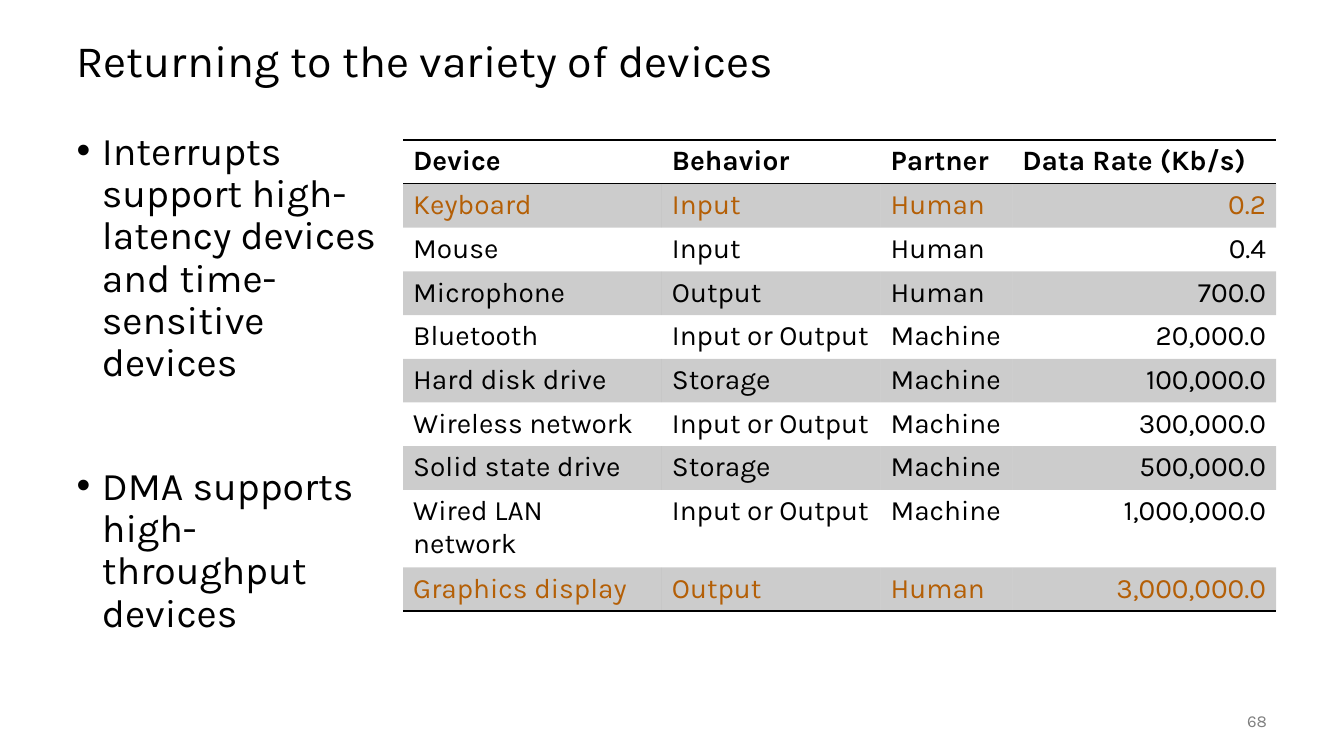
"""Build the slide that compares the behaviour and data rate of devices."""
from dataclasses import dataclass

from lxml import etree
from pptx import Presentation
from pptx.dml.color import RGBColor
from pptx.enum import text
from pptx.oxml import ns
from pptx.util import Cm, Pt


@dataclass(frozen=True)
class Theme:
    """Hold the colours, font and type sizes."""
    font: str = "Karla"
    ink: str = "000000"
    mark: str = "B45F06"
    grey: str = "808080"
    title: int = 32
    body: int = 28
    cell: int = 20
    note: int = 12


@dataclass(frozen=True)
class Box:
    """Describe a text box, with lengths in centimetres."""
    left: float
    top: float
    width: float
    height: float
    lines: tuple[str, ...]
    size: int
    tint: str
    space: float | None = 0.9
    gap: int = 0
    dots: bool = False
    side: text.PP_ALIGN = text.PP_ALIGN.LEFT
    hold: text.MSO_ANCHOR = text.MSO_ANCHOR.MIDDLE


@dataclass(frozen=True)
class Device:
    """Describe one row of the table."""
    name: str
    use: str
    mate: str
    rate: str
    key: bool = False


THEME = Theme()
BOXES = (
    Box(1.68, 0.64, 30.48, 1.9, ("Returning to the variety of devices",),
        THEME.title, THEME.ink),
    Box(1.68, 3.18, 8.48, 13.97,
        ("Interrupts support high-latency devices and time-sensitive devices",
         "DMA supports high-throughput devices"),
        THEME.body, THEME.ink, gap=58, dots=True, hold=text.MSO_ANCHOR.TOP),
    Box(29.64, 17.65, 2.54, 1.02, ("68",), THEME.note, THEME.grey,
        space=None, side=text.PP_ALIGN.RIGHT),
)
HEAD = ("Device", "Behavior", "Partner", "Data Rate (Kb/s)")
WIDTHS = (6.52, 5.51, 3.32, 6.65)
ROW = 1.04
DEVICES = (
    Device("Keyboard", "Input", "Human", "0.2", True),
    Device("Mouse", "Input", "Human", "0.4"),
    Device("Microphone", "Output", "Human", "700.0"),
    Device("Bluetooth", "Input or Output", "Machine", "20,000.0"),
    Device("Hard disk drive", "Storage", "Machine", "100,000.0"),
    Device("Wireless network", "Input or Output", "Machine", "300,000.0"),
    Device("Solid state drive", "Storage", "Machine", "500,000.0"),
    Device("Wired LAN network", "Input or Output", "Machine", "1,000,000.0"),
    Device("Graphics display", "Output", "Human", "3,000,000.0", True),
)


def style(para, size: int, tint: str, bold: bool = False) -> None:
    """Set the font of a paragraph."""
    font = para.font
    font.name, font.size, font.bold = THEME.font, Pt(size), bold
    font.color.rgb = RGBColor.from_string(tint)


def bullet(para) -> None:
    """Give a paragraph a bullet and a hanging indent."""
    props = para._p.get_or_add_pPr()
    props.set("marL", str(Cm(0.64)))
    props.set("indent", str(-Cm(0.64)))
    etree.SubElement(props, ns.qn("a:buFont"), typeface="Arial")
    etree.SubElement(props, ns.qn("a:buChar"), char="•")


def write(slide, box: Box) -> None:
    """Draw a text box."""
    shape = slide.shapes.add_textbox(
        Cm(box.left), Cm(box.top), Cm(box.width), Cm(box.height))
    frame = shape.text_frame
    frame.word_wrap = True
    frame.vertical_anchor = box.hold
    for i, line in enumerate(box.lines):
        para = frame.add_paragraph() if i else frame.paragraphs[0]
        para.text = line
        if box.dots:
            bullet(para)
        para.alignment = box.side
        para.line_spacing = box.space
        if i:
            para.space_before = Pt(box.gap)
        style(para, box.size, box.tint)


def rule(cell, tags: tuple[str, ...]) -> None:
    """Draw border lines on the named sides of a cell."""
    props = cell._tc.get_or_add_tcPr()
    for i, tag in enumerate(tags):
        line = etree.Element(ns.qn(tag), w=str(Pt(1)))
        fill = etree.SubElement(line, ns.qn("a:solidFill"))
        etree.SubElement(fill, ns.qn("a:srgbClr"), val=THEME.ink)
        props.insert(i, line)


def shade(cell) -> None:
    """Fill a cell with see-through ink."""
    cell.fill.solid()
    cell.fill.fore_color.rgb = RGBColor.from_string(THEME.ink)
    tint = cell._tc.tcPr.find(".//" + ns.qn("a:srgbClr"))
    etree.SubElement(tint, ns.qn("a:alpha"), val="20000")


def chart(slide) -> None:
    """Draw the table of devices."""
    count = len(DEVICES) + 1
    frame = slide.shapes.add_table(
        count, len(HEAD), Cm(10.16), Cm(3.53), Cm(sum(WIDTHS)), Cm(ROW * count))
    table = frame.table
    table.first_row = table.horz_banding = False
    plain = "{2D5ABB26-0587-4C30-8999-92F81FD0307C}"
    table._tbl.tblPr.find(ns.qn("a:tableStyleId")).text = plain
    for col, width in zip(table.columns, WIDTHS):
        col.width = Cm(width)
    rows = [HEAD] + [(d.name, d.use, d.mate, d.rate) for d in DEVICES]
    for r, row in enumerate(rows):
        table.rows[r].height = Cm(ROW)
        tint = THEME.mark if r and DEVICES[r - 1].key else THEME.ink
        for c, word in enumerate(row):
            cell = table.cell(r, c)
            cell.text = word
            para = cell.text_frame.paragraphs[0]
            if r and c == len(HEAD) - 1:
                para.alignment = text.PP_ALIGN.RIGHT
            style(para, THEME.cell, tint, r == 0)
            if r % 2:
                shade(cell)
            else:
                cell.fill.background()
            if r == 0:
                rule(cell, ("a:lnT", "a:lnB"))
            elif r == count - 1:
                rule(cell, ("a:lnB",))


def main() -> None:
    """Build and save the slide."""
    deck = Presentation()
    deck.slide_width, deck.slide_height = Cm(33.87), Cm(19.05)
    slide = deck.slides.add_slide(deck.slide_layouts[6])
    for box in BOXES:
        write(slide, box)
    chart(slide)
    deck.save("out.pptx")


if __name__ == "__main__":
    main()
